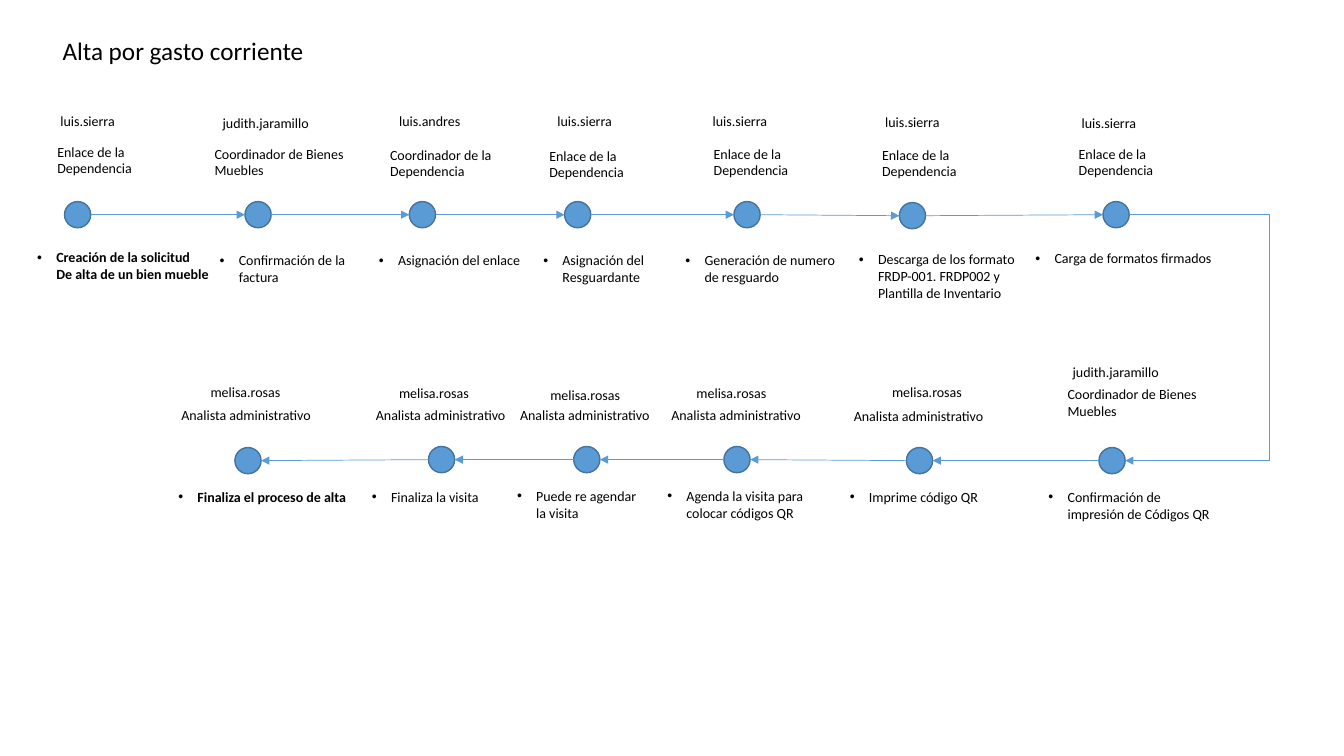
import lxml.etree
import pptx
import pptx.dml.color
import pptx.enum.shapes
import pptx.enum.text
import pptx.oxml.ns
import pptx.util

PX = 9144  # EMU per px, 100 px to the inch
DISC = 26
TURN_X = 1259
TASK_INDENT = 19
THEME = {
    "font": "Calibri",
    "text": pptx.dml.color.RGBColor.from_string("000000"),
    "disc": pptx.dml.color.RGBColor.from_string("5B9BD5"),
    "outline": pptx.dml.color.RGBColor.from_string("43739E"),
    "title_size": pptx.util.Pt(18),
    "label_size": pptx.util.Pt(10),
    "disc_line": pptx.util.Pt(1),
    "arrow_line": pptx.util.Pt(0.5),
}

ENLACE = "Enlace de la\nDependencia"
COORDINADOR = "Coordinador de la\nDependencia"
BIENES = "Coordinador de Bienes\nMuebles"
ANALISTA = "Analista administrativo"
ROLE_WIDTHS = {ENLACE: 95, COORDINADOR: 122, BIENES: 150, ANALISTA: 151}
USER_WIDTHS = {"luis.sierra": 75, "judith.jaramillo": 107,
               "luis.andres": 82, "melisa.rosas": 90}

# disc corner, user, user corner, role, role corner, task, task corner, task width
OUTWARD_STEPS = [
    ((64, 200), "luis.sierra", (50, 107), ENLACE, (47, 137),
     "Creación de la solicitud\nDe alta de un bien mueble", (27, 242), 192),
    ((243, 200), "judith.jaramillo", (211, 109), BIENES, (203, 139),
     "Confirmación de la\nfactura", (208, 245), 149),
    ((406, 200), "luis.andres", (386, 107), COORDINADOR, (377, 140),
     "Asignación del enlace", (366, 245), 161),
    ((560, 200), "luis.sierra", (543, 107), ENLACE, (535, 141),
     "Asignación del\nResguardante", (529, 245), 124),
    ((728, 200), "luis.sierra", (697, 107), ENLACE, (698, 139),
     "Generación de numero\nde resguardo", (670, 245), 174),
    ((892, 201), "luis.sierra", (868, 108), ENLACE, (865, 140),
     "Descarga de los formato\nFRDP-001. FRDP002 y\nPlantilla de Inventario",
     (842, 244), 180),
    ((1094, 200), "luis.sierra", (1063, 109), ENLACE, (1060, 139),
     "Carga de formatos firmados", (1017, 243), 198),
]
RETURN_STEPS = [
    ((1090, 444), "judith.jaramillo", (1054, 356), BIENES, (1049, 378),
     "Confirmación de\nimpresión de Códigos QR", (1030, 480), 182),
    ((899, 444), "melisa.rosas", (875, 376), ANALISTA, (837, 399),
     "Imprime código QR", (833, 480), 149),
    ((718, 443), "melisa.rosas", (681, 377), ANALISTA, (656, 398),
     "Agenda la visita para\ncolocar códigos QR", (652, 479), 160),
    ((569, 443), "melisa.rosas", (536, 379), ANALISTA, (506, 398),
     "Puede re agendar\nla visita", (503, 479), 143),
    ((425, 443), "melisa.rosas", (386, 377), ANALISTA, (363, 398),
     "Finaliza la visita", (359, 480), 127),
    ((233, 444), "melisa.rosas", (199, 376), ANALISTA, (170, 398),
     "Finaliza el proceso de alta", (167, 480), 189),
]
STEPS = OUTWARD_STEPS + RETURN_STEPS

deck = pptx.Presentation()
deck.slide_width = 1333 * PX
deck.slide_height = 750 * PX
slide = deck.slides.add_slide(deck.slide_layouts[5])


def put_text(text, corner, width, size="label_size", height=None,
             bold=False, bullet=False, holder=None):
    """Write one paragraph per line; a bullet marks only the first line."""
    lines = text.split("\n")
    height = height or 10 + 17 * len(lines)
    left, top, width, height = (n * PX for n in (*corner, width, height))
    if holder is None:
        holder = slide.shapes.add_textbox(left, top, width, height)
    holder.left, holder.top, holder.width, holder.height = left, top, width, height
    frame = holder.text_frame
    frame.text = text
    frame.word_wrap = False
    frame.auto_size = pptx.enum.text.MSO_AUTO_SIZE.SHAPE_TO_FIT_TEXT
    frame.vertical_anchor = pptx.enum.text.MSO_ANCHOR.TOP
    for index, paragraph in enumerate(frame.paragraphs):
        paragraph.alignment = pptx.enum.text.PP_ALIGN.LEFT
        font = paragraph.runs[0].font
        font.name, font.size, font.bold = THEME["font"], THEME[size], bold
        font.color.rgb = THEME["text"]
        if bullet:
            properties = paragraph._p.get_or_add_pPr()
            properties.set("marL", str(TASK_INDENT * PX))
            properties.set("indent", str(0 if index else -TASK_INDENT * PX))
            if index == 0:
                lines_font = lxml.etree.SubElement(properties, pptx.oxml.ns.qn("a:buFont"))
                lines_font.set("typeface", "Arial")
                mark = lxml.etree.SubElement(properties, pptx.oxml.ns.qn("a:buChar"))
                mark.set("char", "•")


def draw_arrow(kind, start, end):
    arrow = slide.shapes.add_connector(kind, *(n * PX for n in (*start, *end)))
    arrow.line.color.rgb = THEME["disc"]
    arrow.line.width = THEME["arrow_line"]
    head = lxml.etree.SubElement(arrow.line._get_or_add_ln(), pptx.oxml.ns.qn("a:tailEnd"))
    head.set("type", "triangle")
    lxml.etree.SubElement(arrow._element.spPr, pptx.oxml.ns.qn("a:effectLst"))
    return arrow


put_text("Alta por gasto corriente", (52, 30), 262, size="title_size", height=40,
         holder=slide.shapes.title)

for disc_at, user, user_at, role, role_at, task, task_at, task_width in STEPS:
    disc = slide.shapes.add_shape(pptx.enum.shapes.MSO_SHAPE.OVAL,
                                  *(n * PX for n in (*disc_at, DISC, DISC)))
    disc.shadow.inherit = False
    disc.fill.solid()
    disc.fill.fore_color.rgb = THEME["disc"]
    disc.line.color.rgb = THEME["outline"]
    disc.line.width = THEME["disc_line"]
    put_text(user, user_at, USER_WIDTHS[user])
    put_text(role, role_at, ROLE_WIDTHS[role])
    is_end_step = task in (STEPS[0][5], STEPS[-1][5])
    put_text(task, task_at, task_width, bold=is_end_step, bullet=True)

straight = pptx.enum.shapes.MSO_CONNECTOR.STRAIGHT
for row, exit_dx, entry_dx in ((OUTWARD_STEPS, DISC, 0), (RETURN_STEPS, 0, DISC)):
    for (here, *_), (following, *_) in zip(row, row[1:]):
        draw_arrow(straight, (here[0] + exit_dx, here[1] + DISC // 2),
                   (following[0] + entry_dx, following[1] + DISC // 2))

# The turn from the outward row to the return row runs out to TURN_X.
turn_start, turn_end = ((x + DISC, y + DISC // 2) for x, y in
                        (OUTWARD_STEPS[-1][0], RETURN_STEPS[0][0]))
turn = draw_arrow(pptx.enum.shapes.MSO_CONNECTOR.ELBOW, turn_start, turn_end)
bend = (TURN_X - turn_start[0]) / (turn_end[0] - turn_start[0])
guides = turn._element.spPr.find(pptx.oxml.ns.qn("a:prstGeom")).get_or_add_avLst()
guide = lxml.etree.SubElement(guides, pptx.oxml.ns.qn("a:gd"))
guide.set("name", "adj1")
guide.set("fmla", f"val {round(bend * 100000)}")

deck.save("out.pptx")
